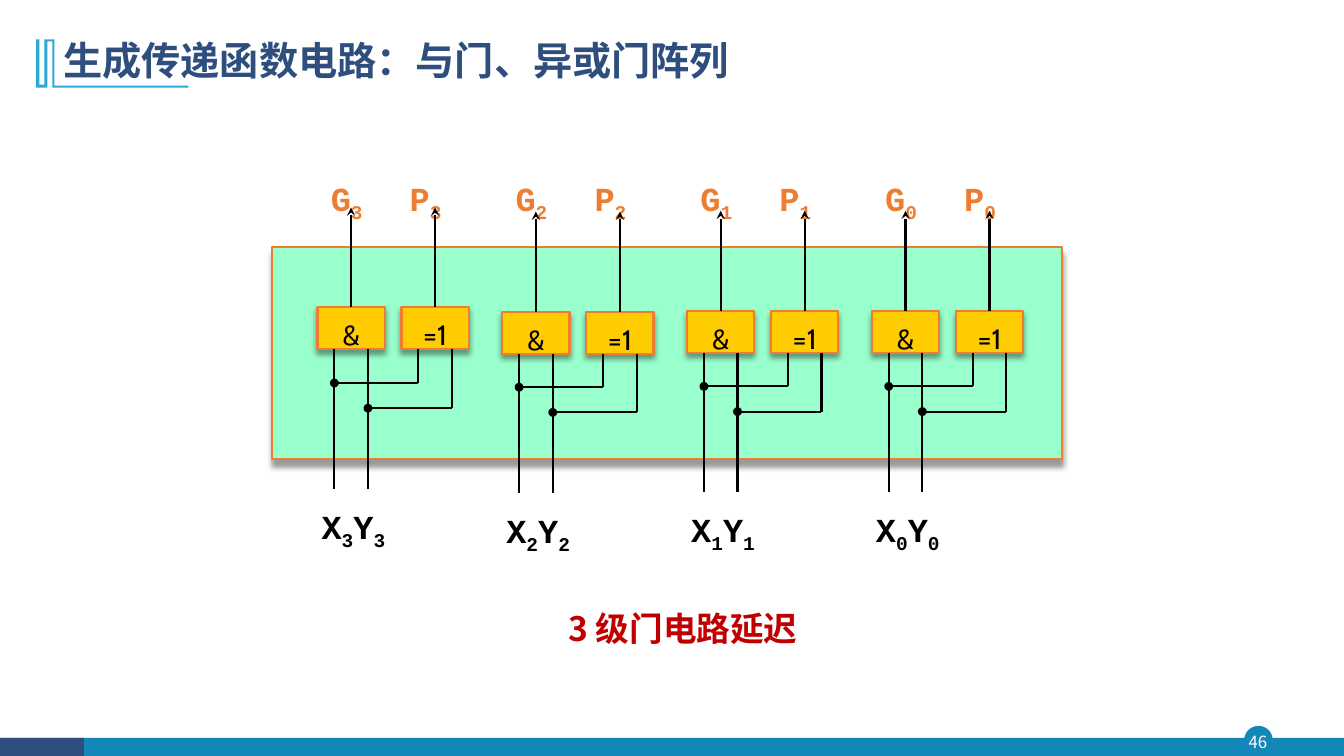
from dataclasses import dataclass

from lxml import etree
from pptx import Presentation
from pptx.dml.color import RGBColor
from pptx.enum.shapes import MSO_CONNECTOR, MSO_SHAPE
from pptx.enum.text import MSO_ANCHOR, PP_ALIGN
from pptx.oxml.ns import qn
from pptx.util import Inches, Pt

RECT, OVAL = MSO_SHAPE.RECTANGLE, MSO_SHAPE.OVAL
LINE = MSO_CONNECTOR.STRAIGHT
TOP, MID = MSO_ANCHOR.TOP, MSO_ANCHOR.MIDDLE
LEFT, MIDST = PP_ALIGN.LEFT, PP_ALIGN.CENTER


@dataclass(frozen=True)
class Theme:
    """Colours, fonts and type sizes."""
    navy: str = "2E4E7E"
    teal: str = "1387B7"
    sky: str = "28A9D6"
    red: str = "C00000"
    rust: str = "ED7D31"
    gold: str = "FFCC00"
    mint: str = "99FFCC"
    black: str = "000000"
    white: str = "FFFFFF"
    sans: str = "Noto Sans CJK SC"
    mono: str = "Courier New"
    sign: str = "Cabin"
    title: int = 28
    body: int = 24
    gate: int = 20
    small: int = 12
    edge: float = 1.5


class Board:
    """Draws on a slide with a grid of 160 columns by 90 rows."""

    def __init__(self, deck, theme):
        self.theme = theme
        self.wide, self.high = deck.slide_width, deck.slide_height
        self.slide = deck.slides.add_slide(deck.slide_layouts[6])
        self.items = self.slide.shapes

    def x(self, col):
        return round(self.wide * col / 160)

    def y(self, row):
        return round(self.high * row / 90)

    def place(self, col, row, cols, rows):
        return self.x(col), self.y(row), self.x(cols), self.y(rows)

    def paint(self, item, fill, edge=None, width=1.5):
        item.shadow.inherit = False
        item.fill.solid()
        item.fill.fore_color.rgb = RGBColor.from_string(fill)
        if edge:
            item.line.color.rgb = RGBColor.from_string(edge)
            item.line.width = Pt(width)
        else:
            item.line.fill.background()

    def shape(self, kind, box, fill, edge=None, width=1.5, drop=0):
        item = self.items.add_shape(kind, *self.place(*box))
        self.paint(item, fill, edge, width)
        if drop:
            fx = item._element.spPr.find(qn("a:effectLst"))
            cast = etree.SubElement(
                fx, qn("a:outerShdw"), blurRad=str(Pt(4)),
                dist=str(Pt(drop)), dir="5400000", rotWithShape="0")
            tint = etree.SubElement(cast, qn("a:srgbClr"), val=self.theme.black)
            etree.SubElement(tint, qn("a:alpha"), val="40000")
        return item

    def outline(self, points, fill):
        dots = [(self.x(col), self.y(row)) for col, row in points]
        pen = self.items.build_freeform(*dots[0])
        pen.add_line_segments(dots[1:], close=True)
        self.paint(pen.convert_to_shape(), fill)

    def line(self, start, end, tip=False):
        item = self.items.add_connector(
            LINE, self.x(start[0]), self.y(start[1]),
            self.x(end[0]), self.y(end[1]))
        item.line.color.rgb = RGBColor.from_string(self.theme.black)
        item.line.width = Pt(self.theme.edge)
        frame = item._element.spPr
        if tip:
            etree.SubElement(frame.find(qn("a:ln")), qn("a:tailEnd"), type="stealth")
        etree.SubElement(frame, qn("a:effectLst"))
        return item

    def label(self, item, runs, size, face, color, bold=False, align=LEFT,
              anchor=TOP, space=1.0, lead=0.0, wrap=True, tab=None):
        frame = item.text_frame
        frame.word_wrap = wrap
        frame.vertical_anchor = anchor
        frame.margin_top = Inches(0.05) + Pt(size * lead)
        para = frame.paragraphs[0]
        para.alignment = align
        para.line_spacing = space
        if tab:
            tabs = etree.SubElement(para._p.get_or_add_pPr(), qn("a:tabLst"))
            etree.SubElement(tabs, qn("a:tab"), pos=str(self.x(tab)), algn="l")
        font = para.font
        font.size, font.name, font.bold = Pt(size), face, bold
        font.color.rgb = RGBColor.from_string(color)
        base = para._p.pPr.find(qn("a:defRPr"))
        etree.SubElement(base, qn("a:ea"), typeface=face)
        for text in runs:
            run = para.add_run()
            run.text = text
            if text.isdigit() and len(runs) > 1:
                run._r.get_or_add_rPr().set("baseline", "-25000")

    def text(self, box, runs, *args, **style):
        item = self.items.add_textbox(*self.place(*box))
        self.label(item, runs, *args, **style)
        return item

    def gate(self, col, row, sign):
        look = self.theme
        item = self.shape(RECT, (col, row, 8, 5), look.gold, look.rust, drop=3)
        self.label(item, [sign], look.gate, look.sign, look.black, align=MIDST,
                   anchor=MID, space=1.2, lead=0.2, wrap=False)
        self.line((col + 4, row), (col + 4, row - 11.9), True).begin_connect(item, 0)

    def bit(self, num, col, row):
        look = self.theme
        mark = dict(bold=True, space=1.2, lead=0.2)
        self.text((col + 0.4, 18.7, 17.2, 5), ["G", num, "\t", "P", num],
                  look.body, look.mono, look.rust, tab=9.4, **mark)
        self.text((col - 0.7, row + 21.1, 16, 5), ["X", num, "Y", num],
                  look.body, look.mono, look.black, **mark)
        for step, sign in enumerate(("&", "=1")):
            self.gate(col + 10 * step, row, sign)
        for step in range(2):
            near = col + 2 + 4 * step
            far = near + 10
            turn = row + 9 + 3 * step
            self.line((near, row + 5), (near, row + 21.6))
            self.line((near, turn), (far, turn))
            self.line((far, row + 5), (far, turn))
            self.shape(OVAL, (near - 0.4, turn - 0.4, 0.8, 0.8), look.black, look.black)


def main():
    deck = Presentation()
    deck.slide_width, deck.slide_height = Inches(13.33), Inches(7.5)
    look = Theme()
    board = Board(deck, look)

    board.shape(OVAL, (148.2, 86.5, 3.24, 3.24), look.teal, look.teal, 1)
    board.shape(RECT, (0, 87.84, 160, 2.2), look.teal)
    board.shape(RECT, (0, 87.84, 10, 2.2), look.navy)
    page = board.text((147.84, 86.5, 3.84, 3.7), ["46"], look.small, look.sans,
                      look.white, align=MIDST, anchor=MID).text_frame
    page.margin_left = page.margin_right = page.margin_top = page.margin_bottom = 0
    board.outline([(6.48, 4.68), (6.48, 10.2), (22.44, 10.2), (22.44, 10.44),
                   (6.24, 10.44), (6.24, 4.92), (5.64, 4.92), (5.64, 10.44),
                   (4.32, 10.44), (4.32, 4.68), (4.68, 4.68), (4.68, 10.08),
                   (5.28, 10.08), (5.28, 4.68)], look.sky)
    board.text((6.36, 3.36, 138, 8.16), ["生成传递函数电路：与门、异或门阵列"],
               look.title, look.sans, look.navy, bold=True, anchor=MID, space=0.9)
    board.text((60, 71, 42.6, 6.5), ["3 级门电路延迟"], look.body, look.sans,
               look.red, bold=True, align=MIDST, lead=0.2)

    board.shape(RECT, (32.4, 29.4, 94, 25.2), look.mint, look.rust, drop=5)
    for place, row in enumerate((36.6, 37.1, 37, 37)):
        board.bit(str(3 - place), 37.8 + 22 * place, row)
    deck.save("out.pptx")


if __name__ == "__main__":
    main()
